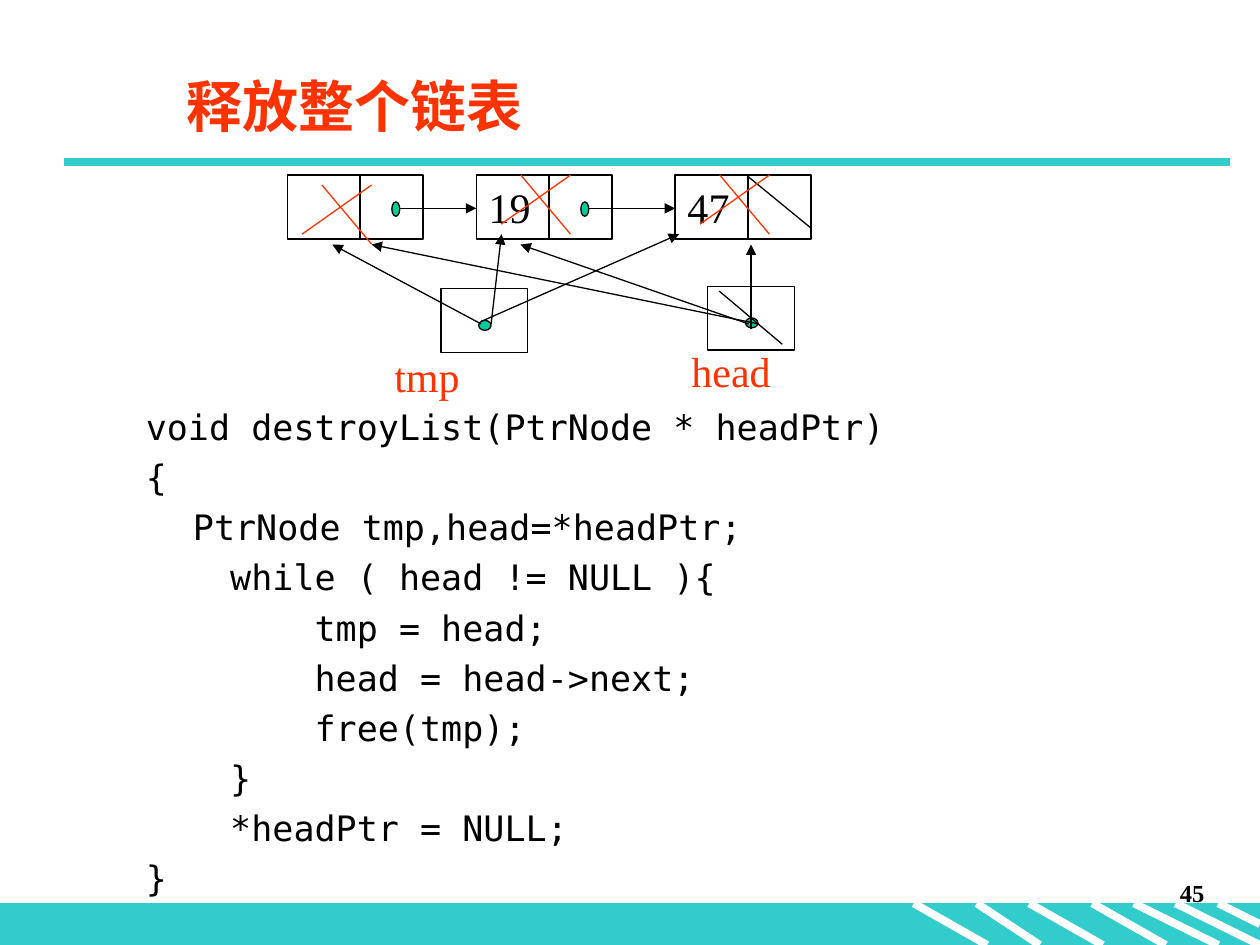
import dataclasses

import lxml.etree
import pptx
import pptx.dml.color
import pptx.enum.shapes
import pptx.enum.text
import pptx.oxml.ns
import pptx.util

Cm = pptx.util.Cm
Pt = pptx.util.Pt
qn = pptx.oxml.ns.qn
RGBColor = pptx.dml.color.RGBColor
Shape = pptx.enum.shapes.MSO_SHAPE
Align = pptx.enum.text.PP_ALIGN
Anchor = pptx.enum.text.MSO_ANCHOR

TEAL = RGBColor(0x33, 0xCC, 0xCC)
GREEN = RGBColor(0x00, 0xCC, 0x99)
RED = RGBColor(0xFF, 0x33, 0x00)
BLACK = RGBColor(0, 0, 0)
WHITE = RGBColor(0xFF, 0xFF, 0xFF)

SERIF = "Times New Roman"
MONO = "DejaVu Sans Mono"
CJK = "Noto Sans CJK SC"

CODE = """void destroyList(PtrNode * headPtr)
{
\tPtrNode tmp,head=*headPtr;
    while ( head != NULL ){
        tmp = head;
        head = head->next;
        free(tmp);
    }
    *headPtr = NULL;
}"""


@dataclasses.dataclass
class Box:
    left: float
    top: float
    width: float
    height: float

    def inner(self, x, y, width, height):
        return Box(self.left + x, self.top + y, width, height)

    def lengths(self):
        return [Cm(value) for value in (self.left, self.top, self.width, self.height)]


def add_line(page, box, start, end, color=BLACK, width=0.75, arrow=False):
    line = page.shapes.add_connector(
        pptx.enum.shapes.MSO_CONNECTOR.STRAIGHT,
        Cm(box.left + start[0]), Cm(box.top + start[1]),
        Cm(box.left + end[0]), Cm(box.top + end[1]),
    )
    line.line.color.rgb = color
    line.line.width = Pt(width)
    if arrow:
        lxml.etree.SubElement(line.line._get_or_add_ln(), qn("a:tailEnd"), type="triangle")
    lxml.etree.SubElement(line._element.spPr, qn("a:effectLst"))


def add_outline(page, box, kind=Shape.RECTANGLE, fill=None, color=BLACK):
    shape = page.shapes.add_shape(kind, *box.lengths())
    shape.shadow.inherit = False
    if fill is None:
        shape.fill.background()
    else:
        shape.fill.solid()
        shape.fill.fore_color.rgb = fill
    shape.line.color.rgb = color
    shape.line.width = Pt(0.75)
    return shape


def write(para, text, size, color, face, bold=False):
    span = para.add_run()
    span.text = text
    font = span.font
    font.size, font.bold, font.name = Pt(size), bold, face
    font.color.rgb = color
    lxml.etree.SubElement(span._r.get_or_add_rPr(), qn("a:ea"), typeface=face)


def add_text(page, box, text, size, color, face, bold=False,
             align=Align.LEFT, anchor=Anchor.MIDDLE):
    frame = page.shapes.add_textbox(*box.lengths()).text_frame
    frame.word_wrap = True
    frame.vertical_anchor = anchor
    para = frame.paragraphs[0]
    para.alignment = align
    write(para, text, size, color, face, bold)


def add_footer(page, box):
    add_outline(page, box, fill=TEAL, color=TEAL)
    stripes = [(18.42, 19.9), (19.69, 20.96), (20.75, 22.23), (22.02, 23.5),
               (22.86, 24.56), (23.7, 25.4)]
    for start, end in stripes:
        add_line(page, box, (start, 0), (end, box.height), WHITE, 4.5)
    add_line(page, box, (24.56, 0), (box.width, box.height / 2), WHITE, 4.5)
    add_text(page, box.inner(19.25, -0.63, 5.28, 1.27), "45", 14, BLACK, SERIF,
             True, Align.RIGHT, Anchor.TOP)


def add_heading(page, box):
    add_text(page, box.inner(2.21, 0, 21.59, 2), "释放整个链表", 32, RED, CJK, True)
    add_line(page, box, (0, box.height), (box.width, box.height), TEAL, 4.5)


def add_node(page, box, value, cross, link):
    split = 1.47
    shape = add_outline(page, box)
    if value:
        frame = shape.text_frame
        frame.vertical_anchor = Anchor.MIDDLE
        para = frame.paragraphs[0]
        para.alignment = Align.LEFT
        write(para, value, 24, BLACK, SERIF)
    add_line(page, box, (split, 0), (split, box.height))
    if link:
        add_line(page, box, (2.27, 0.67), (link, 0.67), arrow=True)
        add_outline(page, box.inner(2.11, 0.54, 0.16, 0.29), Shape.OVAL, GREEN)
    else:
        add_line(page, box, (split, 0.03), (box.width, 1.07))
    mark = box.inner(*cross, 1.4, 1.19)
    add_line(page, mark, (1.4, 0), (0, 0.99), RED)
    add_line(page, mark, (0.4, 0), (1.4, 1.19), RED)


def add_pointer(page, box, name, label_at):
    add_outline(page, box)
    add_outline(page, box.inner(0.76, 0.64, 0.25, 0.2), Shape.OVAL, GREEN)
    add_text(page, box.inner(*label_at, 4.01, 1.27), name, 24, RED, SERIF)


def add_diagram(page, box):
    lefts = [0, 3.81, 7.82]
    links = [lefts[1] - lefts[0], lefts[2] - lefts[1], None]
    values = ["", "19", "47"]
    crosses = [(0.3, 0.2), (0.5, 0), (0.5, 0)]
    for left, value, cross, link in zip(lefts, values, crosses, links):
        add_node(page, box.inner(left, 0, 2.74, 1.29), value, cross, link)
    add_pointer(page, box.inner(3.1, 2.29, 1.75, 1.29), "tmp", (-1.19, 1.12))
    head = box.inner(8.48, 2.24, 1.75, 1.29)
    add_pointer(page, head, "head", (-0.58, 1.07))
    add_line(page, head, (0.23, 0.1), (1.5, 1.17))
    arrows = [
        ((3.91, 2.95), (7.9, 1.19)),
        ((3.91, 3), (0.91, 1.4)),
        ((4.11, 3), (4.32, 1.19)),
        ((9.3, 3), (4.7, 1.4)),
        ((9.5, 3), (1.7, 1.4)),
        ((9.35, 3.1), (9.35, 1.4)),
    ]
    for start, end in arrows:
        add_line(page, box, start, end, arrow=True)


def add_code(page, box):
    frame = page.shapes.add_textbox(*box.lengths()).text_frame
    frame.word_wrap = True
    for index, text in enumerate(CODE.split("\n")):
        para = frame.add_paragraph() if index else frame.paragraphs[0]
        if index:
            para.space_before = Pt(4.65)
        settings = para._p.get_or_add_pPr()
        settings.set("marL", str(Cm(0.95)))
        settings.set("indent", str(Cm(-0.95)))
        write(para, text, 20, BLACK, MONO)


def main():
    deck = pptx.Presentation()
    deck.slide_width, deck.slide_height = Cm(25.4), Cm(19.05)
    page = deck.slides.add_slide(deck.slide_layouts[6])
    add_footer(page, Box(0, 18.21, 25.4, 0.84))
    add_heading(page, Box(1.3, 1.12, 23.5, 2.15))
    add_diagram(page, Box(5.79, 3.53, 10.56, 4.67))
    add_code(page, Box(2.69, 8.05, 17.02, 9.8))
    deck.save("out.pptx")


if __name__ == "__main__":
    main()
